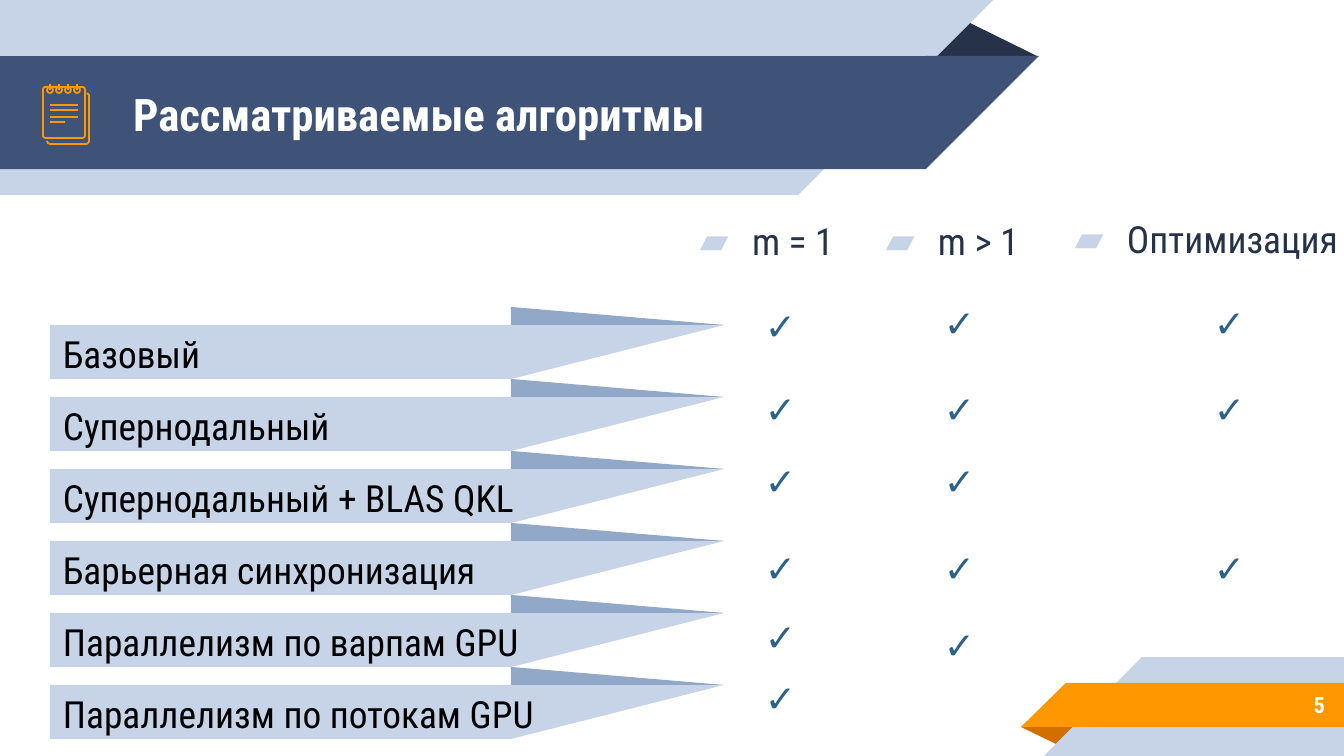
"""Build the slide that compares the algorithms by supported mode."""
from lxml.etree import SubElement
from pptx import Presentation
from pptx.dml.color import RGBColor
from pptx.enum.shapes import MSO_CONNECTOR, MSO_SHAPE
from pptx.enum.text import MSO_ANCHOR, MSO_AUTO_SIZE, PP_ALIGN
from pptx.oxml.ns import qn
from pptx.util import Pt

TITLE = "Рассматриваемые алгоритмы"
PAGE = "5"
CHECK = "✓"
HEADINGS = [
    ("m = 1", (672, 205, 190, 81)),
    ("m > 1", (858, 205, 206, 81)),
    ("Оптимизация", (1047, 203, 343, 81)),
]
CHECK_X = (752, 931, 1201)
ALGORITHMS = [
    ("Базовый", (296, 293, 293)),
    ("Супернодальный", (379, 379, 379)),
    ("Супернодальный + BLAS QKL", (451, 451)),
    ("Барьерная синхронизация", (538, 538, 538)),
    ("Параллелизм по варпам GPU", (607, 615)),
    ("Параллелизм по потокам GPU", (668,)),
]


class Theme:
    """Colours, fonts and type sizes."""
    navy, dark, pale, mid = "3F5378", "263248", "C7D3E6", "92A8C8"
    orange, rust, white, black, check = "FF9800", "D26F00", "FFFFFF", "000000", "2B618B"
    font, check_font = "Roboto Condensed", "Calibri"
    title, body, page, line = 24, 20, 12, 0.96


RECT, WEDGE, FOLD = MSO_SHAPE.RECTANGLE, MSO_SHAPE.RIGHT_TRIANGLE, MSO_SHAPE.ISOSCELES_TRIANGLE
HEADER = [
    (FOLD, (925, 19, 114, 38), Theme.dark, 0, False),
    (RECT, (0, 0, 798, 195), Theme.pale, 180, True),
    (WEDGE, (798, 0, 195, 195), Theme.pale, 180, True),
    (RECT, (0, 56, 926, 113), Theme.navy, 180, True),
    (WEDGE, (926, 56, 113, 113), Theme.navy, 180, True),
]
FOOTER = [
    (FOLD, (1021, 727, 58, 19), Theme.rust, 180, False),
    (RECT, (1142, 657, 202, 99), Theme.pale, 0, True),
    (WEDGE, (1044, 657, 98, 99), Theme.pale, 0, True),
    (RECT, (1066, 683, 278, 44), Theme.orange, 0, True),
    (WEDGE, (1021, 683, 45, 44), Theme.orange, 0, True),
]
ROW_X, ROW_Y, ROW_STEP, ROW_H = 50, 325, 72, 54
BAR_W, TIP_W, FOLD_H, TEXT_H = 461, 213, 18, 59
NOTE_LINES = [(105, 78), (110, 78), (117, 78), (122, 65)]
BACK_PAGE = [(47, 141), (48, 143), (50, 144), (87, 144), (89, 142), (89, 95), (87, 93)]
PX = 914400 / 134.4


def px(*values):
    return [round(v * PX) for v in values]


def rgb(value):
    return RGBColor.from_string(value)


def add_block(shapes, kind, box, color, rotation=0, flip=False, apex=0.324):
    sp = shapes.add_shape(kind, *px(*box))
    sp.shadow.inherit = False
    sp.fill.solid()
    sp.fill.fore_color.rgb = rgb(color)
    sp.line.fill.background()
    sp.rotation = rotation
    if flip:
        sp.element.spPr.get_or_add_xfrm().set("flipH", "1")
    if kind == FOLD:
        sp.adjustments[0] = apex


def outline(sp):
    sp.line.color.rgb = rgb(Theme.orange)
    sp.line.width = Pt(Theme.line)


def add_outline(shapes, kind, box):
    sp = shapes.add_shape(kind, *px(*box))
    sp.shadow.inherit = False
    sp.fill.background()
    outline(sp)
    return sp


def add_stroke(shapes, *ends):
    line = shapes.add_connector(MSO_CONNECTOR.STRAIGHT, *px(*ends))
    outline(line)
    SubElement(line.element.spPr, qn("a:effectLst"))


def add_notepad(shapes):
    builder = shapes.build_freeform(*BACK_PAGE[0], scale=PX)
    builder.add_line_segments(BACK_PAGE[1:], close=False)
    back = builder.convert_to_shape()
    back.shadow.inherit = False
    back.fill.background()
    outline(back)
    page = add_outline(shapes, MSO_SHAPE.ROUNDED_RECTANGLE, (43, 87, 42, 51))
    page.adjustments[0] = 0.06
    for y, right in NOTE_LINES:
        add_stroke(shapes, 50, y, right, y)
    for x in range(50, 78, 9):
        add_outline(shapes, MSO_SHAPE.OVAL, (x - 3, 87, 6, 6))
        add_stroke(shapes, x, 84, x, 90)


def write(sp, text, box, size, color, font=Theme.font, bold=False,
          align=PP_ALIGN.LEFT, anchor=MSO_ANCHOR.TOP, inset=13, wrap=True):
    sp.left, sp.top, sp.width, sp.height = px(*box)
    tf = sp.text_frame
    tf.text = text
    tf.word_wrap = wrap
    tf.auto_size = MSO_AUTO_SIZE.NONE
    tf.vertical_anchor = anchor
    tf.margin_left, tf.margin_right, tf.margin_top, tf.margin_bottom = px(13, 13, inset, inset)
    p = tf.paragraphs[0]
    p.alignment = align
    r = p.runs[0]
    r.font.name, r.font.size, r.font.bold = font, Pt(size), bold
    r.font.color.rgb = rgb(color)
    return p


def add_bullet(p):
    p.space_before = Pt(6)
    pPr = p._p.get_or_add_pPr()
    margin, indent = px(67, -52)
    pPr.set("marL", str(margin))
    pPr.set("indent", str(indent))
    color = SubElement(pPr, qn("a:buClr"))
    SubElement(color, qn("a:srgbClr"), val=Theme.pale)
    SubElement(pPr, qn("a:buFont"), typeface=Theme.font)
    SubElement(pPr, qn("a:buChar"), char="▰")


def add_text(shapes, text, box, *args, **kwargs):
    return write(shapes.add_textbox(*px(*box)), text, box, *args, **kwargs)


def main():
    prs = Presentation()
    prs.slide_width, prs.slide_height = px(1344, 756)
    s = prs.slides.add_slide(prs.slide_layouts[3])
    shapes = s.shapes
    title, *bodies = list(s.placeholders)

    for block in HEADER + FOOTER:
        add_block(shapes, *block)
    add_notepad(shapes)
    for sp in (title, *bodies):
        shapes._spTree.append(sp.element)

    write(title, TITLE, (120, 57, 773, 113), Theme.title, Theme.white,
          bold=True, anchor=MSO_ANCHOR.MIDDLE)
    holders = bodies + [shapes.add_textbox(0, 0, 0, 0)]
    for sp, (text, box) in zip(holders, HEADINGS):
        add_bullet(write(sp, text, box, Theme.body, Theme.dark))
    add_text(shapes, PAGE, (1119, 681, 219, 47), Theme.page, Theme.white,
             bold=True, align=PP_ALIGN.RIGHT, anchor=MSO_ANCHOR.MIDDLE)

    tip_x = ROW_X + BAR_W
    for i, (name, checks) in enumerate(ALGORITHMS):
        y = ROW_Y + i * ROW_STEP
        add_block(shapes, RECT, (ROW_X, y, BAR_W, ROW_H), Theme.pale, flip=True)
        add_block(shapes, WEDGE, (tip_x, y, TIP_W, ROW_H), Theme.pale, 180, True)
        add_block(shapes, FOLD, (tip_x, y - FOLD_H, TIP_W, FOLD_H), Theme.mid, apex=0)
        add_text(shapes, name, (ROW_X, y, 527, TEXT_H), Theme.body, Theme.black, inset=6)
        for x, top in zip(CHECK_X, checks):
            add_text(shapes, CHECK, (x, top, 56, TEXT_H), Theme.body, Theme.check,
                     font=Theme.check_font, inset=7, wrap=False)

    prs.save("out.pptx")


if __name__ == "__main__":
    main()
